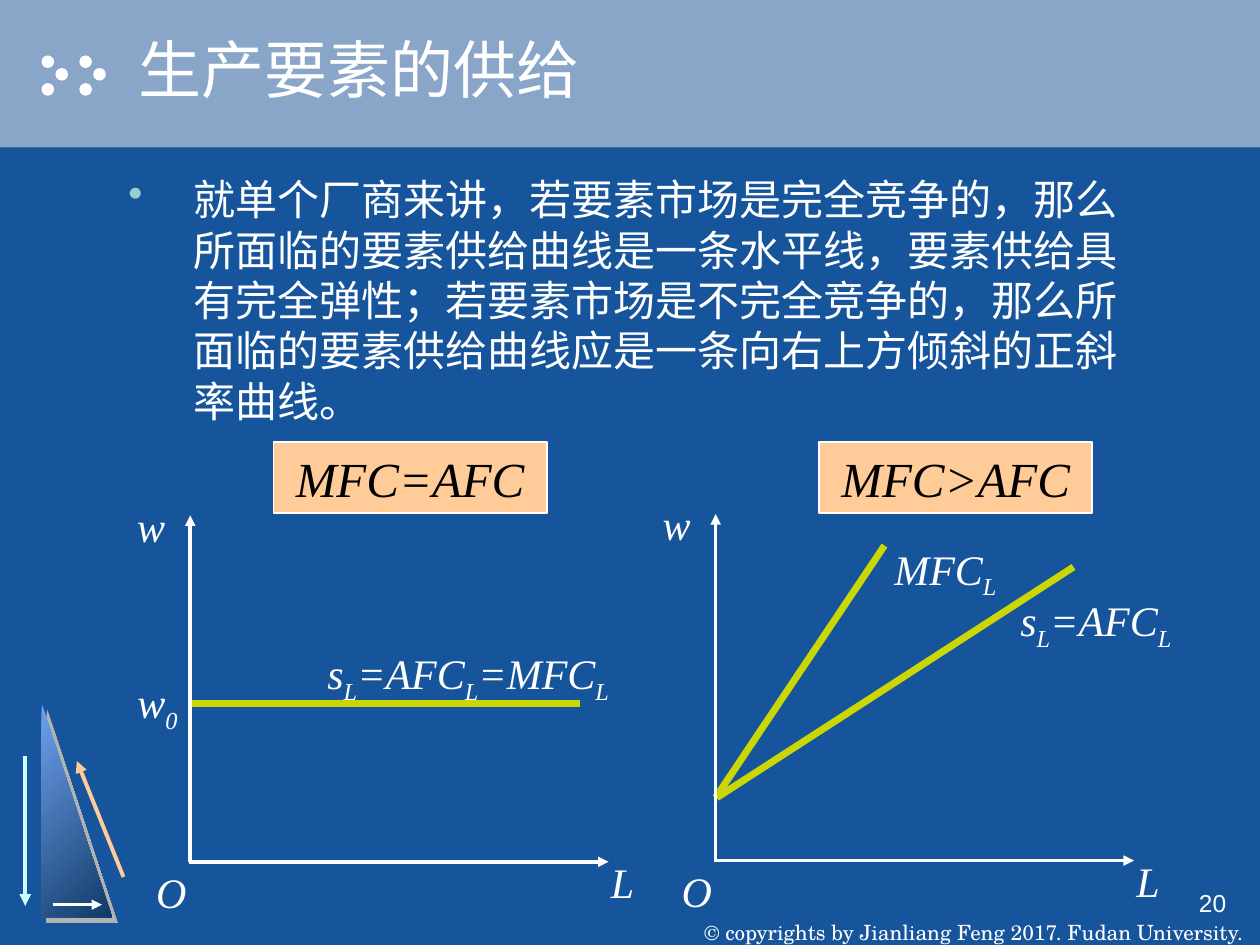
import pptx
import pptx.dml.color
import pptx.enum.dml
import pptx.enum.shapes
import pptx.enum.text
import pptx.oxml
import pptx.oxml.ns
import pptx.util

Inches = pptx.util.Inches
Pt = pptx.util.Pt
SHAPE = pptx.enum.shapes.MSO_SHAPE
ALIGN = pptx.enum.text.PP_ALIGN
ANCHOR = pptx.enum.text.MSO_ANCHOR

COLORS = {
    "background": "16559B", "banner": "89A5C7", "white": "FFFFFF",
    "black": "000000", "curve": "CAD704", "peach": "FFCC99",
    "ice": "CCFFFF", "bullet": "99CCCC", "shadow": "B2B2B2",
    "title_shadow": "1B0A2E", "gradient_start": "6FA2ED", "gradient_end": "0F3A68",
}
SERIF = "Times New Roman"
SANS = "Arial"


def rgb(name):
    return pptx.dml.color.RGBColor.from_string(COLORS[name])


def xml(markup):
    return pptx.oxml.parse_xml(
        markup.replace(" ", f" {pptx.oxml.ns.nsdecls('a')} ", 1))


def outer_shadow(color, distance):
    """Hard-edged shadow towards the lower right."""
    return (f'<a:outerShdw dist="{Pt(distance)}" dir="2700000" algn="ctr" rotWithShape="0">'
            f'<a:srgbClr val="{COLORS[color]}"/></a:outerShdw>')


class SlideBuilder:
    def __init__(self, slide):
        self.slide = slide
        self.shapes = slide.shapes
        slide.background.fill.solid()
        slide.background.fill.fore_color.rgb = rgb("background")

    def format_font(self, font, size, name=SERIF, color="white", italic=False):
        font.size = Pt(size)
        font.name = name
        font.italic = italic
        font.color.rgb = rgb(color)

    def title(self, text, left, top, width, height):
        """Fill the title placeholder and bring it in front of the banner."""
        title = self.shapes.title
        title.element.getparent().append(title.element)
        title.left, title.top = Inches(left), Inches(top)
        title.width, title.height = Inches(width), Inches(height)
        frame = title.text_frame
        frame.text = text
        frame.auto_size = pptx.enum.text.MSO_AUTO_SIZE.NONE
        frame.vertical_anchor = ANCHOR.MIDDLE
        frame.paragraphs[0].alignment = ALIGN.LEFT
        run = frame.paragraphs[0].runs[0]
        self.format_font(run.font, 36, SANS)
        fill = run._r.get_or_add_rPr().find(pptx.oxml.ns.qn("a:solidFill"))
        fill.addnext(xml(f'<a:effectLst >{outer_shadow("title_shadow", 1.5)}</a:effectLst>'))

    def shape(self, kind, left, top, width, height, fill, outline=None):
        shape = self.shapes.add_shape(
            kind, Inches(left), Inches(top), Inches(width), Inches(height))
        shape.shadow.inherit = False
        shape.fill.solid()
        shape.fill.fore_color.rgb = rgb(fill)
        if outline:
            shape.line.color.rgb = rgb(outline)
            shape.line.width = Pt(1)
        else:
            shape.line.fill.background()
        return shape

    def gradient_triangle(self, left, top, width, height):
        triangle = self.shape(SHAPE.RIGHT_TRIANGLE, left, top, width, height, "gradient_end")
        triangle.fill.gradient()
        triangle.fill.gradient_angle = 315
        for stop, color in zip(triangle.fill.gradient_stops, ("gradient_start", "gradient_end")):
            stop.color.rgb = rgb(color)
        effects = triangle.element.spPr.find(pptx.oxml.ns.qn("a:effectLst"))
        effects.append(xml(outer_shadow("shadow", 4.2)))

    def line(self, start, end, color, width, arrow=False):
        line = self.shapes.add_connector(
            pptx.enum.shapes.MSO_CONNECTOR.STRAIGHT, *map(Inches, start + end))
        line.line.color.rgb = rgb(color)
        line.line.width = Pt(width)
        if arrow:
            line.get_or_add_ln().append(xml('<a:tailEnd type="triangle"/>'))
        line.element.spPr.append(xml("<a:effectLst />"))

    def text(self, text, left, top, width, height, size, font=SERIF,
             align=ALIGN.LEFT, wrap=True):
        box = self.shapes.add_textbox(
            Inches(left), Inches(top), Inches(width), Inches(height))
        frame = box.text_frame
        frame.word_wrap = wrap
        frame.text = text
        frame.paragraphs[0].alignment = align
        self.format_font(frame.paragraphs[0].runs[0].font, size, font)
        return frame

    def bullet_text(self, text, left, top, width, height):
        paragraph = self.text(text, left, top, width, height, 24).paragraphs[0]
        properties = paragraph._p.get_or_add_pPr()
        properties.set("marL", str(Inches(0.52)))
        properties.set("indent", str(Inches(-0.52)))
        properties.append(xml(
            f'<a:buClr ><a:srgbClr val="{COLORS["bullet"]}"/></a:buClr>'))
        properties.append(xml('<a:buChar char="•"/>'))

    def label(self, parts, left, top, width, height=0.65, align=ALIGN.LEFT, wrap=True):
        """Italic graph label; every second part is a subscript."""
        frame = self.text(parts[0], left, top, width, height, 24, align=align, wrap=wrap)
        paragraph = frame.paragraphs[0]
        paragraph.line_spacing = 1.2
        paragraph.runs[0].font.italic = True
        for index, part in enumerate(parts[1:], start=1):
            run = paragraph.add_run()
            run.text = part
            self.format_font(run.font, 24, italic=True)
            if index % 2:
                run._r.get_or_add_rPr().set("baseline", "-25000")

    def axes(self, left, bottom):
        """Wage and labour axes meeting at the origin (left, bottom)."""
        self.line((left, bottom), (left, bottom - 2.75), "white", 2, arrow=True)
        self.line((left - 0.01, bottom), (left + 3.32, bottom), "white", 2, arrow=True)
        for name, dx, dy, width in (("L", 3.24, -0.17, 0.38), ("w", -0.52, -3, 0.42),
                                    ("O", -0.37, -0.09, 0.44)):
            self.label([name], left + dx, bottom + dy, width, 0.58, ALIGN.CENTER, wrap=False)

    def formula_box(self, formula, left):
        box = self.shape(SHAPE.RECTANGLE, left, 3.51, 2.17, 0.56, "peach", "white")
        box.text_frame.text = formula
        paragraph = box.text_frame.paragraphs[0]
        paragraph.alignment = ALIGN.CENTER
        self.format_font(paragraph.runs[0].font, 28, color="black", italic=True)


def main():
    deck = pptx.Presentation()
    deck.slide_width, deck.slide_height = Inches(10), Inches(7.5)
    page = SlideBuilder(deck.slides.add_slide(deck.slide_layouts[5]))

    page.shape(SHAPE.RECTANGLE, 0, 0, 10, 1.17, "banner")
    for chevron_left in (0.33, 0.63):
        for dx, top in ((0, 0.44), (0.11, 0.54), (0, 0.66)):
            page.shape(SHAPE.OVAL, chevron_left + dx, top, 0.1, 0.1, "white")
    page.gradient_triangle(0.33, 5.58, 0.56, 1.7)
    page.line((0.2, 6), (0.2, 7.19), "ice", 2.25, arrow=True)
    page.line((0.98, 6.96), (0.61, 6.04), "peach", 2.25, arrow=True)
    page.line((0.42, 7.18), (0.81, 7.18), "white", 1.5, arrow=True)

    copyright_line = page.text(
        "© copyrights by Jianliang Feng 2017. Fudan University.",
        5.44, 7, 4.58, 0.5, 12, "TeX Gyre Schola", ALIGN.CENTER, wrap=False)
    copyright_line.vertical_anchor = ANCHOR.BOTTOM
    copyright_line.margin_top = copyright_line.margin_bottom = 0
    page.text("20", 7.75, 7, 2.08, 0.5, 14, SANS, ALIGN.RIGHT)

    for start, end in (((5.68, 6.33), (7.02, 4.33)), ((5.69, 6.33), (8.52, 4.5)),
                       ((1.52, 5.58), (4.6, 5.58))):
        page.line(start, end, "curve", 4)

    page.title("生产要素的供给", 1, 0, 9, 1.08)
    page.bullet_text(
        "就单个厂商来讲，若要素市场是完全竞争的，那么所面临的要素供给曲线是一条水平线，"
        "要素供给具有完全弹性；若要素市场是不完全竞争的，那么所面临的要素供给曲线应是"
        "一条向右上方倾斜的正斜率曲线。", 0.92, 1.33, 8.17, 5)

    page.axes(1.51, 6.84)
    page.axes(5.68, 6.83)

    page.label(["w", "0"], 0.96, 5.23, 0.58, align=ALIGN.CENTER)
    page.label(["s", "L", "=AFC", "L", "=MFC", "L"], 2.5, 5, 2.58)
    page.label(["s", "L", "=AFC", "L"], 8, 4.58, 1.5)
    page.label(["MFC", "L"], 7, 4.17, 1.17)
    page.formula_box("MFC>AFC", 6.5)
    page.formula_box("MFC=AFC", 2.17)

    deck.save("out.pptx")


if __name__ == "__main__":
    main()
